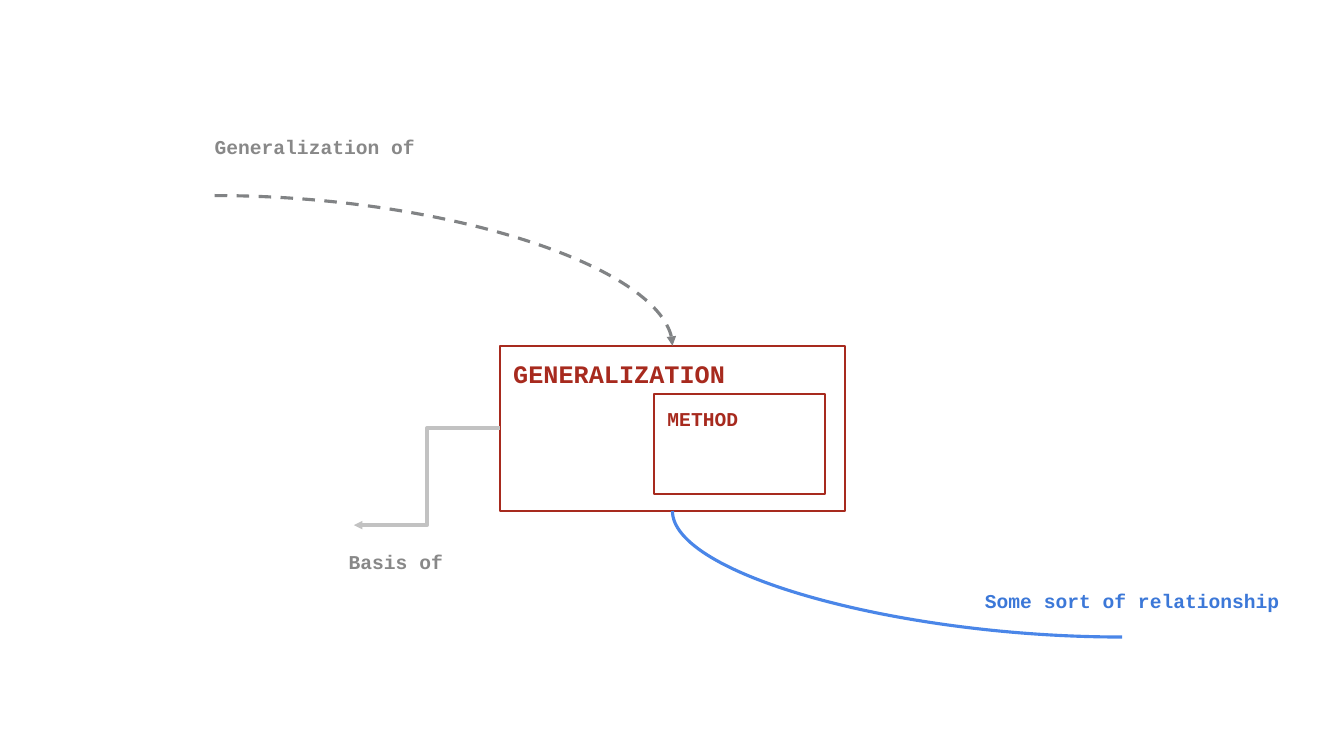
import pptx
import pptx.dml.color
import pptx.enum.dml
import pptx.enum.shapes
import pptx.enum.text
import pptx.oxml.ns
import pptx.util
from lxml import etree

PX = 9144  # 100 px to the inch
FONT = "Courier New"
RED, BLUE, LABEL_BLUE = "A72A1E", "4A86E8", "3C78D8"
LIGHT_GREY, DARK_GREY, LABEL_GREY = "C2C2C2", "818385", "888888"
qn = pptx.oxml.ns.qn


def px(length):
    return pptx.util.Emu(round(length * PX))


def color(hex_value):
    return pptx.dml.color.RGBColor.from_string(hex_value)


def write(shape, text, size=14, hex_color=LABEL_GREY, inset=10):
    frame = shape.text_frame
    frame.word_wrap = True
    frame.vertical_anchor = pptx.enum.text.MSO_ANCHOR.TOP
    frame.margin_left = frame.margin_right = px(inset)
    frame.margin_top = frame.margin_bottom = px(inset)
    paragraph = frame.paragraphs[0]
    paragraph.alignment = pptx.enum.text.PP_ALIGN.LEFT
    run = paragraph.add_run()
    run.text = text
    run.font.name = FONT
    run.font.size = pptx.util.Pt(size)
    run.font.bold = True
    run.font.color.rgb = color(hex_color)


def add_label(slide, text, left, top, width, hex_color=LABEL_GREY):
    label = slide.shapes.add_textbox(px(left), px(top), px(width), px(70))
    write(label, text, hex_color=hex_color)


def add_frame(slide, text, box, size):
    frame = slide.shapes.add_shape(
        pptx.enum.shapes.MSO_SHAPE.RECTANGLE, *map(px, box))
    frame.shadow.inherit = False
    frame.fill.background()
    frame.line.color.rgb = color(RED)
    frame.line.width = pptx.util.Pt(1.5)
    write(frame, text, size=size, hex_color=RED, inset=13)


def add_link(slide, preset, start, end, hex_color, weight,
             dashed=False, arrow=None, arrow_size="med"):
    """Arrow is "headEnd" (at start), "tailEnd" (at end) or None."""
    kinds = pptx.enum.shapes.MSO_CONNECTOR
    kind = kinds.CURVE if preset.startswith("curved") else kinds.ELBOW
    link = slide.shapes.add_connector(kind, *map(px, start + end))
    properties = link._element.spPr
    properties.find(qn("a:prstGeom")).set("prst", preset)
    link.line.color.rgb = color(hex_color)
    link.line.width = pptx.util.Pt(weight)
    if dashed:
        link.line.dash_style = pptx.enum.dml.MSO_LINE.DASH
    if arrow:
        etree.SubElement(properties.find(qn("a:ln")), qn("a:" + arrow),
                         type="triangle", w=arrow_size, len=arrow_size)
    etree.SubElement(properties, qn("a:effectLst"))


def add_generalization(slide, left, top, width, height):
    """The outer frame with the method nested inside it."""
    add_frame(slide, "GENERALIZATION", (left, top, width, height), 18)
    add_frame(slide, "METHOD", (left + 153, top + 48, 169, 99), 14)


def add_relationships(slide, left, top, width, height):
    """Links and their labels, leaving from the sides of the frame."""
    center, middle, bottom = left + width / 2, top + height / 2, top + height

    # Basis, to the left
    basis = (left - 145, middle + 96)
    add_link(slide, "bentConnector3", basis, (left, middle), LIGHT_GREY, 3,
             arrow="headEnd", arrow_size="sm")
    add_label(slide, "Basis of", basis[0] - 15, basis[1] + 15, 144)

    # Generalized concept, from above
    concept = (center - 454, top - 149)
    add_link(slide, "curvedConnector2", concept, (center, top), DARK_GREY, 2.25,
             dashed=True, arrow="tailEnd")
    add_label(slide, "Generalization of", concept[0] - 10, concept[1] - 70, 255)

    # Other relationship, below
    relation = (center + 446, bottom + 125)
    add_link(slide, "curvedConnector2", relation, (center, bottom), BLUE, 2.25)
    add_label(slide, "Some sort of relationship",
              relation[0] - 146, relation[1] - 58, 342, LABEL_BLUE)


def main():
    deck = pptx.Presentation()
    deck.slide_width, deck.slide_height = px(1333), px(750)
    slide = deck.slides.add_slide(deck.slide_layouts[6])
    generalization = (496, 343, 342, 164)
    add_generalization(slide, *generalization)
    add_relationships(slide, *generalization)
    deck.save("out.pptx")


if __name__ == "__main__":
    main()
